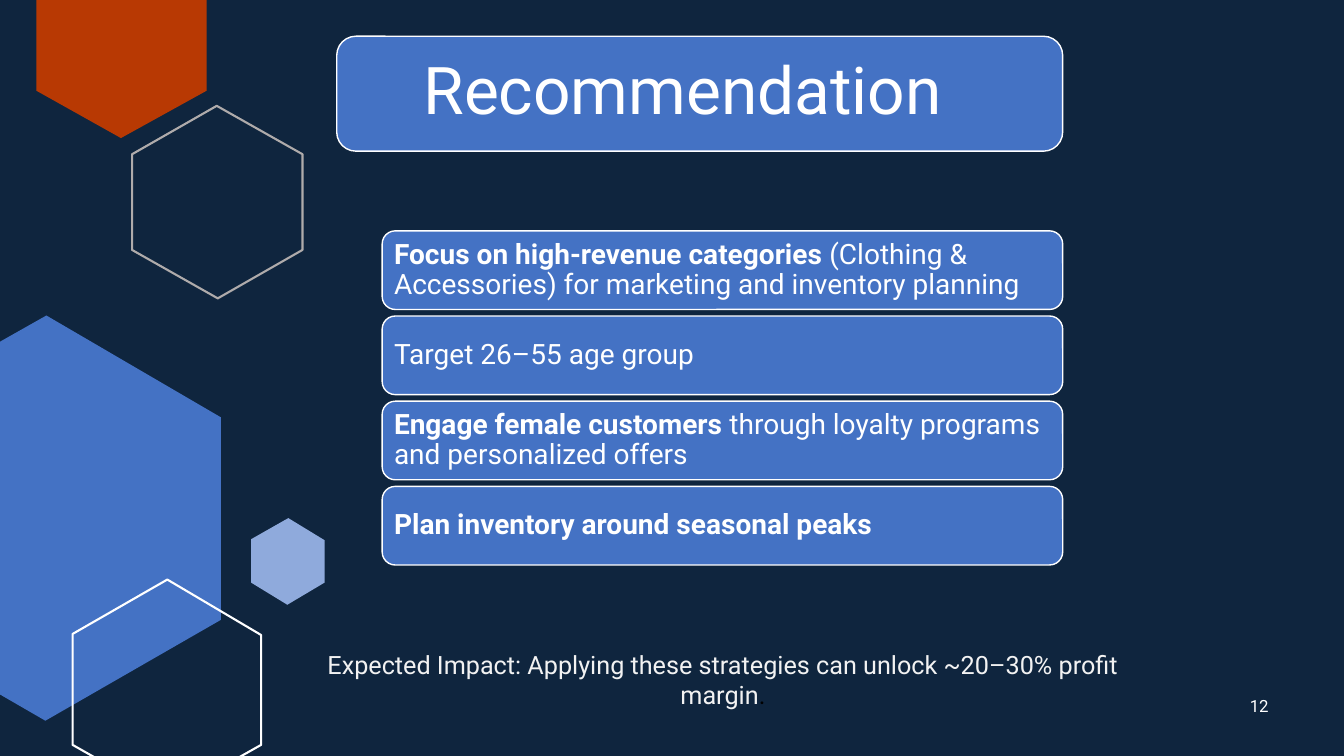
from dataclasses import dataclass

from pptx import Presentation
from pptx.dml.color import RGBColor
from pptx.enum.shapes import MSO_SHAPE as Preset
from pptx.enum.text import MSO_ANCHOR as Anchor
from pptx.enum.text import MSO_AUTO_SIZE as AutoSize
from pptx.enum.text import PP_ALIGN as Align
from pptx.util import Inches, Pt

FONT = "Roboto"
NAVY, BLUE, PALE_BLUE, RUST = "0F253E", "4472C4", "8FAADC", "B83903"
WHITE, OFF_WHITE, GREY, BLACK = "FFFFFF", "F2F2F2", "AFABAB", "000000"


@dataclass(frozen=True)
class Hexagon:
    points: list[tuple[float, float]]
    fill: str | None = None
    line: str | None = None


@dataclass(frozen=True)
class Span:
    text: str
    bold: bool = False
    color: str = WHITE


HEXAGONS = [
    Hexagon([(0.46, 3.13), (2.19, 4.14), (2.19, 6.15), (0.45, 7.15),
             (0, 6.89), (0, 3.39)], fill=BLUE),
    Hexagon([(1.66, 5.75), (2.59, 6.3), (2.59, 7.39), (2.36, 7.52),
             (0.95, 7.52), (0.72, 7.39), (0.72, 6.29)], line=WHITE),
    Hexagon([(2.86, 5.14), (2.49, 5.35), (2.49, 5.78), (2.85, 6),
             (3.22, 5.78), (3.22, 5.36)], fill=PALE_BLUE),
    Hexagon([(2.15, 1.05), (3, 1.53), (3, 2.48), (2.16, 2.96),
             (1.31, 2.48), (1.31, 1.53)], line=GREY),
    Hexagon([(0.36, 0), (2.05, 0), (2.05, 0.9), (1.2, 1.37),
             (0.36, 0.9)], fill=RUST),
]

RECOMMENDATIONS = [
    [Span("Focus on high‑revenue categories", bold=True),
     Span(" (Clothing & Accessories) for marketing and inventory planning")],
    [Span("Target 26–55 age group")],
    [Span("Engage female customers", bold=True),
     Span(" through loyalty programs and personalized offers")],
    [Span("Plan inventory around seasonal peaks", bold=True)],
]
CARD_TOP, CARD_STEP = 2.29, 0.845


def rgb(color: str) -> RGBColor:
    return RGBColor.from_string(color)


def paint(shape, fill: str | None, line: str | None, width: float) -> None:
    shape.shadow.inherit = False
    if fill:
        shape.fill.solid()
        shape.fill.fore_color.rgb = rgb(fill)
    else:
        shape.fill.background()
    if line:
        shape.line.color.rgb = rgb(line)
        shape.line.width = Pt(width)
    else:
        shape.line.fill.background()


def add_hexagon(page, hexagon: Hexagon) -> None:
    start, *rest = [(Inches(x), Inches(y)) for x, y in hexagon.points]
    builder = page.shapes.build_freeform(*start)
    builder.add_line_segments(rest, close=True)
    paint(builder.convert_to_shape(), hexagon.fill, hexagon.line, 1.5)


def add_card(page, left: float, top: float, width: float, height: float):
    card = page.shapes.add_shape(Preset.ROUNDED_RECTANGLE, Inches(left),
                                 Inches(top), Inches(width), Inches(height))
    paint(card, BLUE, WHITE, 1)
    return card


def write(shape, spans: list[Span], size: float, align: Align,
          anchor: Anchor = Anchor.MIDDLE, spacing: float = 1.0) -> None:
    frame = shape.text_frame
    frame.word_wrap = True
    frame.auto_size = AutoSize.NONE
    frame.vertical_anchor = anchor
    para = frame.paragraphs[0]
    para.alignment = align
    para.line_spacing = spacing
    for span in spans:
        run = para.add_run()
        run.text = span.text
        run.font.name = FONT
        run.font.size = Pt(size)
        run.font.bold = span.bold
        run.font.color.rgb = rgb(span.color)


def set_insets(shape, left: float, other: float) -> None:
    frame = shape.text_frame
    frame.margin_left = Inches(left)
    frame.margin_right = frame.margin_top = frame.margin_bottom = Inches(other)


def add_label(page, left: float, top: float, width: float, height: float):
    return page.shapes.add_textbox(Inches(left), Inches(top),
                                   Inches(width), Inches(height))


def add_title(page, text: str) -> None:
    add_card(page, 3.34, 0.36, 7.2, 1.14)
    title = page.shapes.title
    title.left, title.top = Inches(3.4), Inches(0.41)
    title.width, title.height = Inches(7.09), Inches(1.03)
    set_insets(title, 0.8, 0.2)
    write(title, [Span(text)], 47, Align.LEFT, spacing=0.9)
    # Bring the title in front of its card
    page.shapes._spTree.append(title._element)


def main() -> None:
    deck = Presentation()
    deck.slide_width, deck.slide_height = Inches(13.33), Inches(7.5)
    page = deck.slides.add_slide(deck.slide_layouts[5])
    page.background.fill.solid()
    page.background.fill.fore_color.rgb = rgb(NAVY)

    # Decoration on the left
    for hexagon in HEXAGONS:
        add_hexagon(page, hexagon)

    # Recommendation cards
    for index, spans in enumerate(RECOMMENDATIONS):
        card = add_card(page, 3.79, CARD_TOP + index * CARD_STEP, 6.75, 0.78)
        set_insets(card, 0.08, 0.08)
        write(card, spans, 20, Align.LEFT, spacing=0.9)

    # Slide number
    number = add_label(page, 12.24, 6.8, 0.5, 0.4)
    write(number, [Span("12")], 12, Align.CENTER)

    # Title
    add_title(page, "Recommendation")

    # Expected impact
    impact = add_label(page, 2.76, 6.39, 8.82, 0.69)
    write(impact, [
        Span("Expected Impact: Applying these strategies can unlock "
             "~20–30% profit margin", color=OFF_WHITE),
        Span(".", color=BLACK),
    ], 18, Align.CENTER, Anchor.TOP)

    deck.save("out.pptx")


if __name__ == "__main__":
    main()
